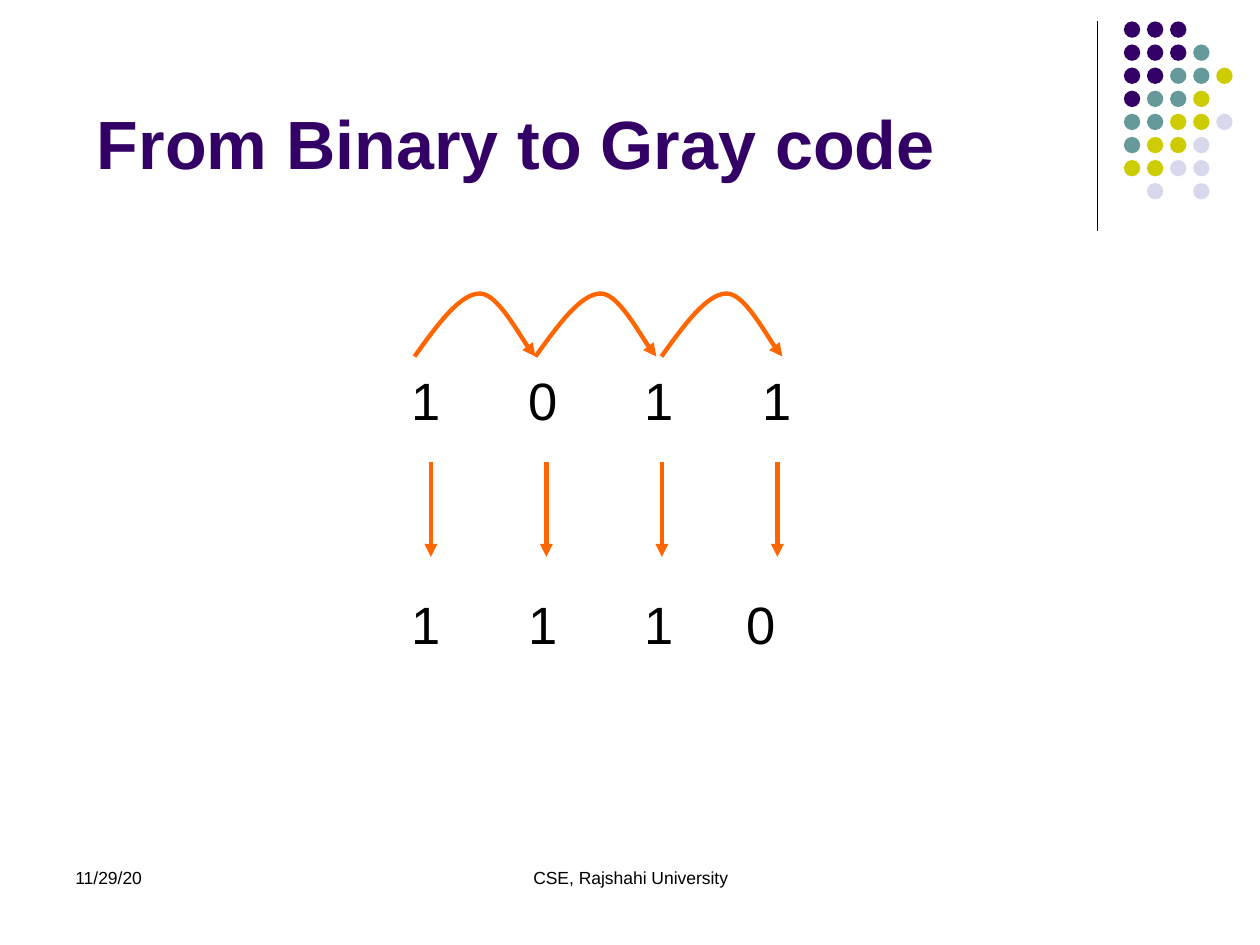
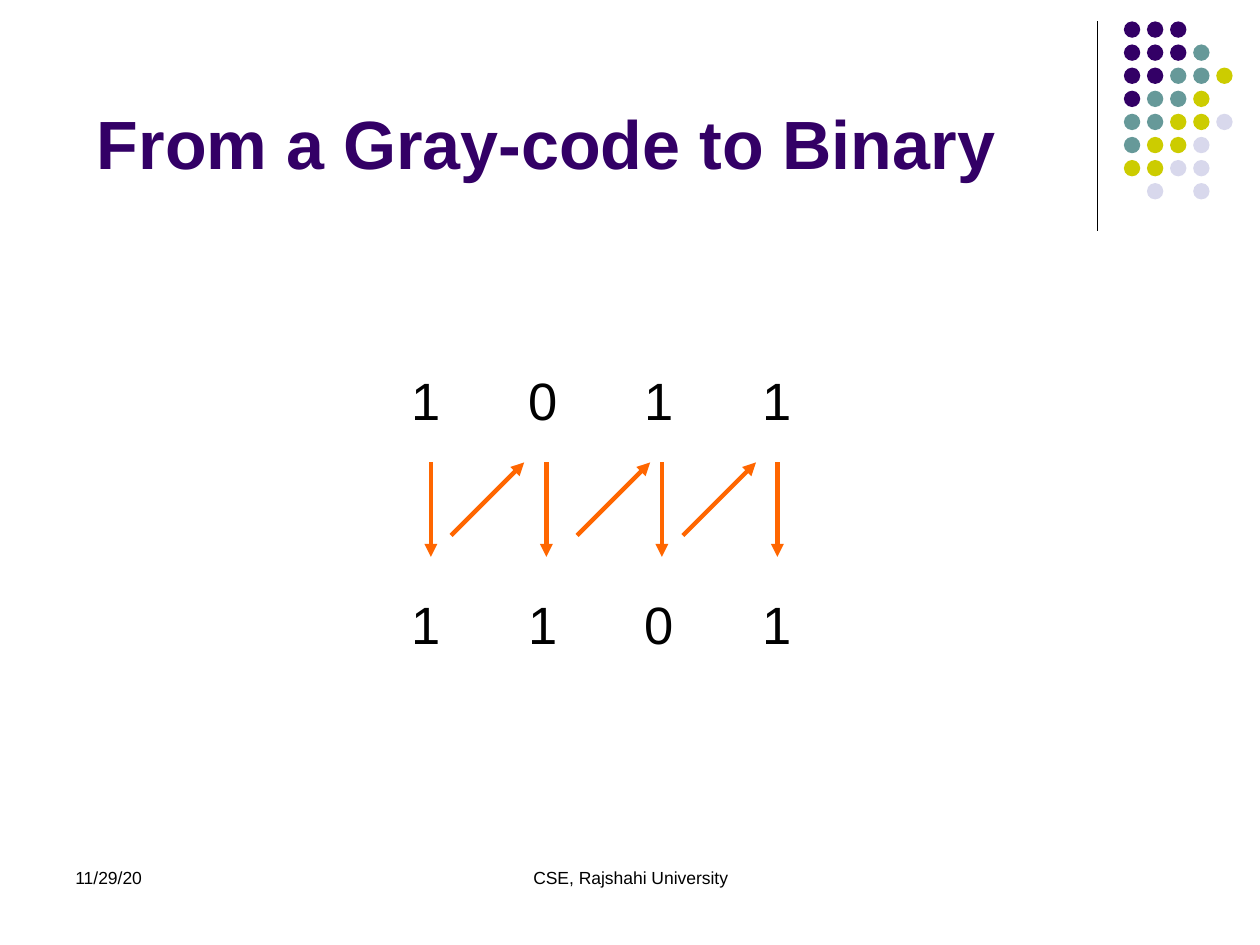
import pptx
import pptx.util
import pptx.dml.color
import pptx.enum.shapes
import pptx.enum.text
import pptx.oxml
import pptx.oxml.ns
import lxml.etree

Inches = pptx.util.Inches
Pt = pptx.util.Pt
ALIGN = pptx.enum.text.PP_ALIGN
ANCHOR = pptx.enum.text.MSO_ANCHOR
qn = pptx.oxml.ns.qn

COLORS = {
    "purple": "330066",
    "teal": "669999",
    "lime": "CCCC00",
    "lavender": "D8D8EC",
    "orange": "FF6600",
    "black": "000000",
}
DOT_COLORS = {"P": "purple", "T": "teal", "L": "lime", "V": "lavender"}
DOT_ROWS = ["PPP", "PPPT", "PPTTL", "PTTL", "TTLLV", "TLLV", "LLVV", " V V"]
DOT_PITCH = 0.55 / 3

TITLE = {"size": Pt(39), "bold": True}
FOOTER = {"size": Pt(10), "bold": False}
DIGIT = {"size": Pt(30), "bold": False}

DIGIT_STOPS = [0.93, 1.85, 2.78]
SHORT_STOPS = [0.93, 1.85, 2.66]
ARROW_TOP = 3.67
ARROW_XS = [3.42 + i * 2.75 / 3 for i in range(4)]

HOP_CURVES = [
    [(0, 0.5), (0.18, 0.25), (0.36, 0), (0.52, 0)],
    [(0.52, 0), (0.68, 0), (0.88, 0.43), (0.96, 0.5)],
]
HOP_STEPS = 16


def rgb(name):
    return pptx.dml.color.RGBColor.from_string(COLORS[name])


def apply(obj, values):
    for name, value in values.items():
        setattr(obj, name, value)


def add_run(p, text, font, color):
    r = p.add_run()
    r.text = text
    apply(r.font, {"name": "Arial", **font})
    r.font.color.rgb = rgb(color)


def add_box(s, x, y, w, h, **frame):
    sp = s.shapes.add_textbox(Inches(x), Inches(y), Inches(w), Inches(h))
    tf = sp.text_frame
    apply(tf, {"word_wrap": True, **frame})
    return tf


def add_label(s, box, text, font, color="black", align=ALIGN.LEFT, anchor=ANCHOR.TOP):
    tf = add_box(s, *box, vertical_anchor=anchor)
    p = tf.paragraphs[0]
    p.alignment = align
    add_run(p, text, font, color)


def set_tab_stops(p, stops):
    tabs = lxml.etree.SubElement(p._p.get_or_add_pPr(), qn("a:tabLst"))
    for stop in stops:
        lxml.etree.SubElement(tabs, qn("a:tab"), pos=str(Inches(stop)), algn="l")


def add_digit_rows(s, rows):
    tf = add_box(s, 3.17, 2.83, 3.5, 2.62, margin_top=Inches(0.09))
    for i, (digits, stops) in enumerate(rows):
        p = tf.add_paragraph() if i else tf.paragraphs[0]
        if i:
            p.space_before = Pt(92)
        set_tab_stops(p, stops)
        add_run(p, "\t".join(digits), DIGIT, "black")


def style_line(sp, color, width, arrow=False):
    sp.line.color.rgb = rgb(color)
    sp.line.width = Pt(width)
    if arrow:
        ln = sp.line._get_or_add_ln()
        lxml.etree.SubElement(ln, qn("a:tailEnd"), type="triangle")


def add_line(shapes, start, end, color="orange", width=2.5, arrow=True):
    ends = [Inches(v) for v in (*start, *end)]
    sp = shapes.add_connector(pptx.enum.shapes.MSO_CONNECTOR.STRAIGHT, *ends)
    style_line(sp, color, width, arrow)
    lxml.etree.SubElement(sp._element.spPr, qn("a:effectLst"))


def add_dot_grid(s):
    shapes = s.shapes.add_group_shape().shapes
    for row, codes in enumerate(DOT_ROWS):
        for col, code in enumerate(codes):
            if code == " ":
                continue
            sp = shapes.add_shape(
                pptx.enum.shapes.MSO_SHAPE.OVAL,
                Inches(8.92 + col * DOT_PITCH), Inches(0.17 + row * DOT_PITCH),
                Inches(0.13), Inches(0.13))
            sp.shadow.inherit = False
            sp.fill.solid()
            sp.fill.fore_color.rgb = rgb(DOT_COLORS[code])
            sp.line.fill.background()


def bezier(points, t):
    weights = ((1 - t) ** 3, 3 * t * (1 - t) ** 2, 3 * t * t * (1 - t), t ** 3)
    return [sum(w * pt[axis] for w, pt in zip(weights, points)) for axis in (0, 1)]


def add_hop(shapes, x, y):
    points = [bezier(curve, i / HOP_STEPS)
              for curve in HOP_CURVES for i in range(1, HOP_STEPS + 1)]
    builder = shapes.build_freeform(Inches(x), Inches(y + 0.5))
    builder.add_line_segments(
        [(Inches(x + dx), Inches(y + dy)) for dx, dy in points], close=False)
    sp = builder.convert_to_shape()
    sp.shadow.inherit = False
    sp.fill.background()
    style_line(sp, "orange", 2.5, arrow=True)


def add_down_arrows(s):
    shapes = s.shapes.add_group_shape().shapes
    for x in ARROW_XS:
        add_line(shapes, (x, ARROW_TOP), (x, 4.42))
    return shapes


def add_base_slide(prs, title):
    s = prs.slides.add_slide(prs.slide_layouts[6])
    add_line(s.shapes, (8.71, 0.17), (8.71, 1.83), "black", 0.75, arrow=False)
    add_dot_grid(s)
    add_label(s, (0.5, 6.83, 2.33, 0.5), "11/29/20", FOOTER)
    add_label(s, (3.42, 6.83, 3.17, 0.5), "CSE, Rajshahi University", FOOTER,
              align=ALIGN.CENTER)
    add_label(s, (0.67, 0.5, 8.25, 1), title, TITLE, "purple", anchor=ANCHOR.BOTTOM)
    return s


def add_binary_to_gray(prs):
    s = add_base_slide(prs, "From Binary to Gray code")
    add_digit_rows(s, [("1011", DIGIT_STOPS), ("1110", SHORT_STOPS)])
    add_down_arrows(s)
    shapes = s.shapes.add_group_shape().shapes
    for x in (3.29, 4.25, 5.25):
        add_hop(shapes, x, 2.33)


def add_gray_to_binary(prs):
    s = add_base_slide(prs, "From a Gray-code to Binary")
    add_digit_rows(s, [("1011", DIGIT_STOPS), ("1101", DIGIT_STOPS)])
    shapes = add_down_arrows(s)
    for x in (3.58, 4.58, 5.42):
        add_line(shapes, (x, 4.25), (x + 0.58, ARROW_TOP))


def main():
    prs = pptx.Presentation()
    apply(prs, {"slide_width": Inches(10), "slide_height": Inches(7.5)})
    add_binary_to_gray(prs)
    add_gray_to_binary(prs)
    prs.save("out.pptx")


if __name__ == "__main__":
    main()
